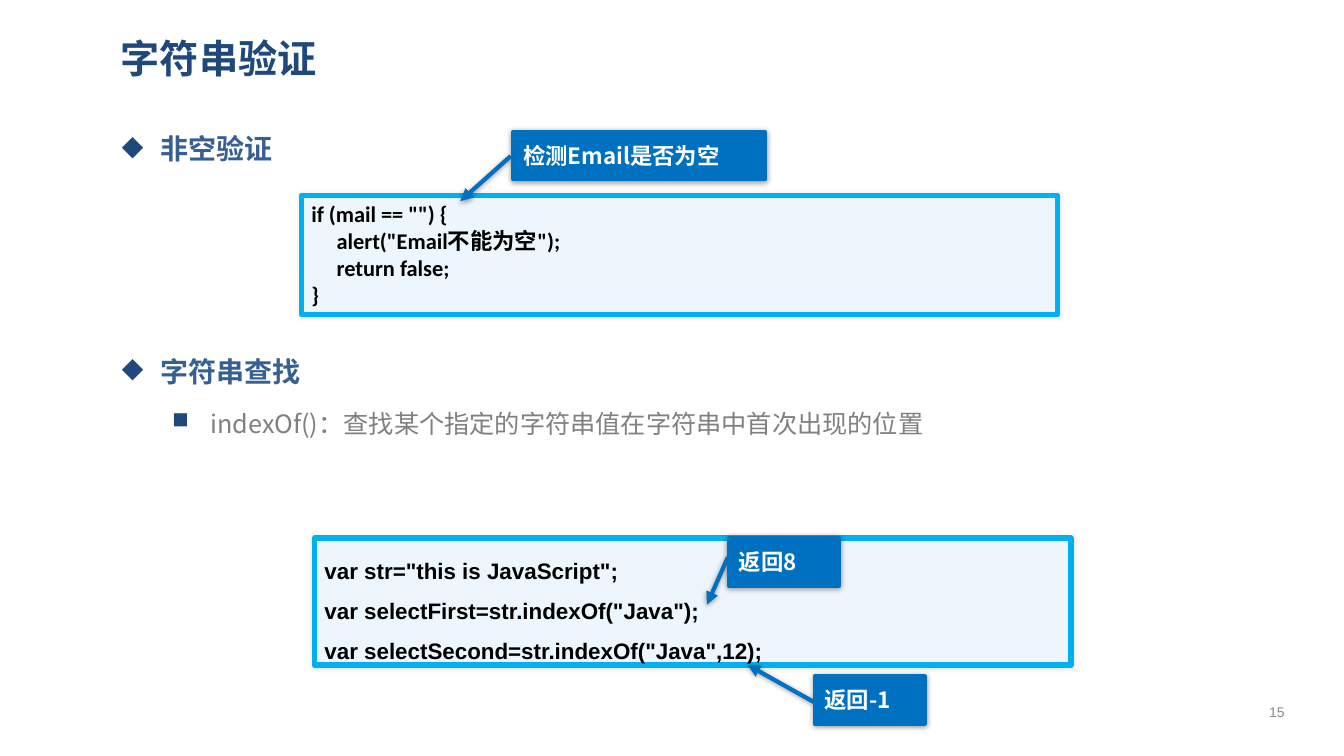
from lxml import etree
from pptx import Presentation, util as u
from pptx.dml.color import RGBColor
from pptx.enum import shapes, text
from pptx.oxml import parse_xml
from pptx.oxml.ns import nsdecls, qn

HEX = {"navy": "1F497D", "steel": "376092", "gray": "808080", "pale": "EDF5FD",
       "cyan": "00B0F0", "blue": "0070C0", "white": "FFFFFF", "black": "000000",
       "page": "8C8C8C"}
CJK = "Noto Sans CJK SC"
TOP, MID = text.MSO_ANCHOR.TOP, text.MSO_ANCHOR.MIDDLE

deck = Presentation()
deck.slide_width, deck.slide_height = u.Inches(13.33), u.Inches(7.5)
slide = deck.slides.add_slide(deck.slide_layouts[6])


def write(shape, lines, size, color, face=CJK, bold=True, anchor=TOP, space=1.0,
          align=text.PP_ALIGN.LEFT):
    """Fill a shape with equally styled paragraphs and return them."""
    frame = shape.text_frame
    frame.word_wrap, frame.vertical_anchor = True, anchor
    frame.text = "\n".join(lines)
    for para in frame.paragraphs:
        para.alignment, para.line_spacing = align, space
        style(para, {"size": u.Pt(size), "bold": bold, "name": face}, color)
    return frame.paragraphs


def style(para, form, color):
    for run in para.runs:
        for key, value in form.items():
            setattr(run.font, key, value)
        run.font.color.rgb = RGBColor.from_string(HEX[color])
        run.font._element.find(qn("a:latin")).addnext(
            parse_xml(f'<a:ea {nsdecls("a")} typeface="{CJK}"/>'))


# Title and page number
for box, words, size, color, face, bold, align in [
        ((1.1, 0.24, 11.65, 0.67), "字符串验证", 28, "navy", CJK, True, text.PP_ALIGN.LEFT),
        ((12.34, 6.86, 0.65, 0.4), "15", 10, "page", "Arial", False, text.PP_ALIGN.CENTER)]:
    label = slide.shapes.add_textbox(*map(u.Inches, box))
    write(label, [words], size, color, face, bold, MID, align=align)

# Bulleted topics: text, size, colour, bold, indent, line spacing, bullet, bullet size
topics = [
    ((1.11, 1.19, 11.65, 0.6), [("非空验证", 20, "steel", True, 0.38, 1.2, "◆", 100)]),
    ((1.11, 3.4, 10.44, 1.89), [
        ("字符串查找", 20, "steel", True, 0.38, 1.2, "◆", 100),
        ("indexOf()：查找某个指定的字符串值在字符串中首次出现的位置",
         18, "gray", False, 0.88, 1.5, "■", 90)])]
for box, items in topics:
    frame = slide.shapes.add_textbox(*map(u.Inches, box)).text_frame
    frame.word_wrap = True
    for i, (words, size, color, bold, left, space, mark, scale) in enumerate(items):
        para = frame.add_paragraph() if i else frame.paragraphs[0]
        props = para._p.get_or_add_pPr()
        props.set("marL", str(u.Inches(left)))
        props.set("indent", str(u.Inches(-0.38)))
        tint = etree.SubElement(props, qn("a:buClr"))
        etree.SubElement(tint, qn("a:srgbClr"), val=HEX["navy"])
        etree.SubElement(props, qn("a:buSzPct"), val=str(scale * 1000))
        etree.SubElement(props, qn("a:buChar"), char=mark)
        para.line_spacing = space
        if i:
            para.level = 1
            para.space_before = u.Pt(size * 0.2)
        para.add_run().text = words
        style(para, {"size": u.Pt(size), "bold": bold, "name": CJK}, color)

# Code panels and callouts, back to front
PANEL = {"kind": shapes.MSO_SHAPE.ROUNDED_RECTANGLE, "fill": "pale", "line": "cyan",
         "width": 4, "ink": "black", "anchor": TOP, "shade": (10, 3, 0)}
NOTE = {"kind": shapes.MSO_SHAPE.LINE_CALLOUT_1, "fill": "blue", "line": "blue",
        "width": 3, "ink": "white", "anchor": MID, "shade": (40, 4, 1)}
parts = [
    (PANEL, (2.99, 1.94, 7.5, 1.18), [0], "Calibri", 1.0,
     ['if (mail == "") {', '     alert("Email不能为空");', '     return false;', '}']),
    (NOTE, (5.09, 1.31, 2.5, 0.47), [1.46, -0.21, 0.51, -0.01], CJK, 1.0,
     ["检测Email是否为空"]),
    (PANEL, (3.12, 5.34, 7.5, 1.26), [0], "Arial", 1.5,
     ['var str="this is JavaScript";', 'var selectFirst=str.indexOf("Java");',
      'var selectSecond=str.indexOf("Java",12);']),
    (NOTE, (7.23, 5.34, 1.09, 0.47), [1.4, -0.2, 0.4, -0.01], CJK, 1.0, ["返回8"]),
    (NOTE, (8.08, 6.71, 1.09, 0.47), [-0.24, -0.61, 0.54, -0.01], CJK, 1.0, ["返回-1"])]
for look, box, bends, face, space, lines in parts:
    shape = slide.shapes.add_shape(look["kind"], *map(u.Inches, box))
    for i, bend in enumerate(bends):
        shape.adjustments[i] = bend
    shape.fill.solid()
    shape.fill.fore_color.rgb = RGBColor.from_string(HEX[look["fill"]])
    shape.line.color.rgb = RGBColor.from_string(HEX[look["line"]])
    shape.line.width = u.Pt(look["width"])
    if look is NOTE:
        etree.SubElement(shape.line._get_or_add_ln(), qn("a:headEnd"), type="triangle")
    shape.shadow.inherit = False
    alpha, blur, dist = look["shade"]
    shape._element.spPr.find(qn("a:effectLst")).append(parse_xml(
        f'<a:outerShdw {nsdecls("a")} blurRad="{u.Pt(blur)}" dist="{u.Pt(dist)}" '
        f'dir="5400000" rotWithShape="0"><a:srgbClr val="{HEX["black"]}">'
        f'<a:alpha val="{alpha * 1000}"/></a:srgbClr></a:outerShdw>'))
    write(shape, lines, 16, look["ink"], face, True, look["anchor"], space)

deck.save("out.pptx")
